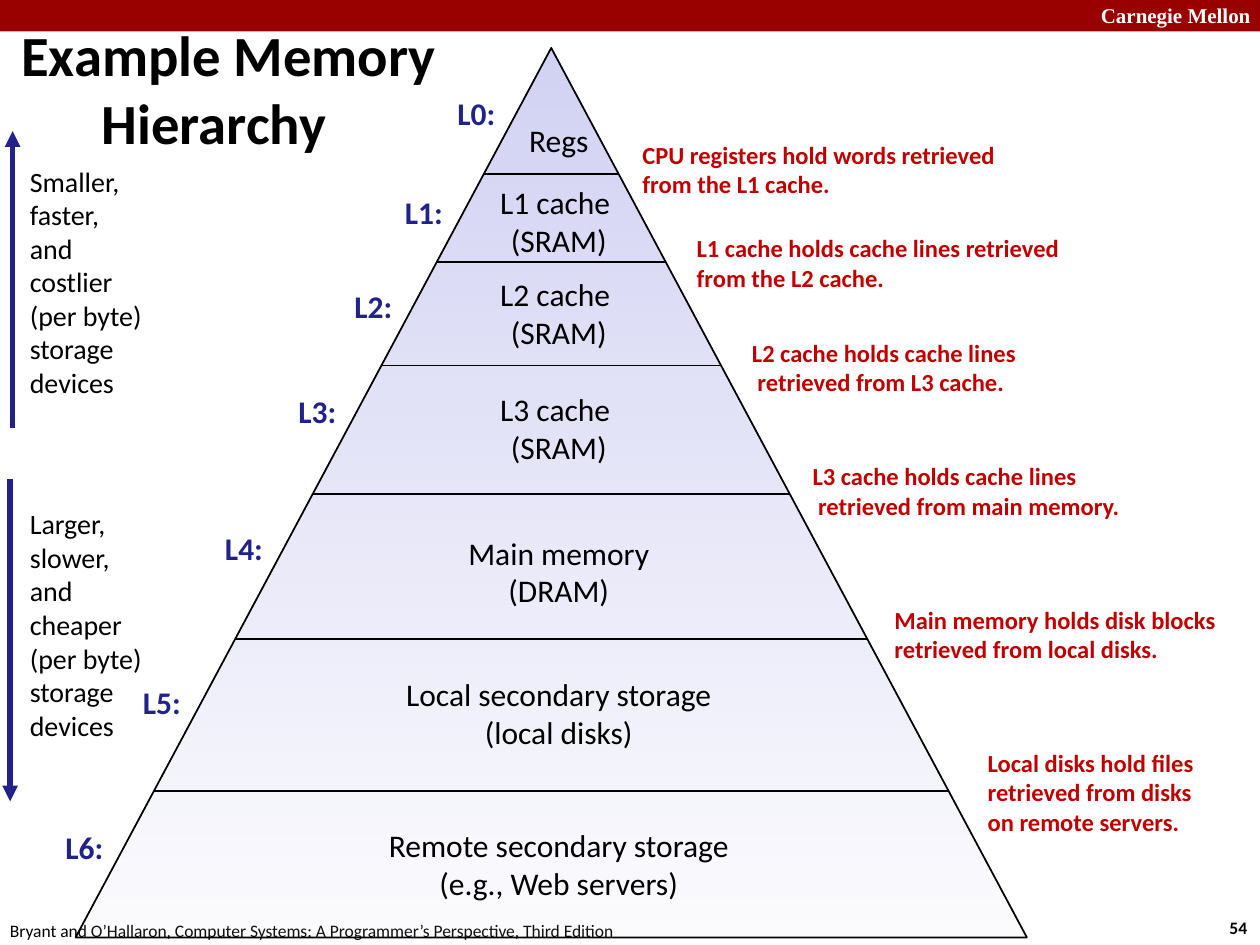
from typing import NamedTuple, Optional

from pptx import Presentation
from pptx.dml.color import RGBColor
from pptx.enum import shapes, text
from pptx.oxml.ns import qn
from pptx.util import Pt

BLACK, WHITE, NAVY, RED = "000000", "FFFFFF", "22228B", "C00000"
HEADER_RED, LAVENDER = "990000", "D2D2F4"
LEFT, CENTER = text.PP_ALIGN.LEFT, text.PP_ALIGN.CENTER
TOP, MIDDLE = text.MSO_ANCHOR.TOP, text.MSO_ANCHOR.MIDDLE

# Pyramid geometry, in points
APEX_X, APEX_Y, BASE_WIDTH, HEIGHT = 315, 27.4, 543.6, 508.3
NAME_CENTER_X = 319.3
LABEL_WIDTH, LABEL_HEIGHT, LABEL_GAP = 36.7, 28.8, 4


class Note(NamedTuple):
    left: float
    top: float
    width: float
    lines: str
    height: float = 41


class Level(NamedTuple):
    name: str
    name_center: float
    name_width: float
    label_top: float
    bottom: Optional[float] = None
    note: Optional[Note] = None


class Trend(NamedTuple):
    lines: str
    top: float
    arrow_x: float
    arrow_start: float
    arrow_end: float


LEVELS = [
    Level("Regs", 79.9, 49, 50.4, 99.4,
          Note(360, 76.3, 229.7, "CPU registers hold words retrieved from the L1 cache.")),
    Level("L1 cache \n(SRAM)", 126.4, 82.8, 106.6, 149.8,
          Note(391, 129.6, 223.2, "L1 cache holds cache lines retrieved from the L2 cache.")),
    Level("L2 cache \n(SRAM)", 178.9, 82.8, 160.6, 208.8,
          Note(422.6, 189.4, 207.4, "L2 cache holds cache lines\n retrieved from L3 cache.")),
    Level("L3 cache \n(SRAM)", 244.4, 82.8, 220.3, 282.2,
          Note(457.2, 259.9, 226.8, "L3 cache holds cache lines\n retrieved from main memory.")),
    Level("Main memory\n(DRAM)", 326.5, 118.8, 298.8, 365,
          Note(504, 342, 200.9, "Main memory holds disk blocks retrieved from local disks.")),
    Level("Local secondary storage\n(local disks)", 407.2, 192.2, 386.6, 452.2,
          Note(557.3, 423.4, 162.7,
               "Local disks hold files retrieved from disks\non remote servers.", 58.3)),
    Level("Remote secondary storage\n(e.g., Web servers)", 493.6, 212.4, 469.4),
]

TRENDS = [
    Trend("Smaller,\nfaster,\nand\ncostlier\n(per byte)\nstorage\ndevices",
          89.3, 7.2, 244.8, 74.9),
    Trend("Larger,\nslower,\nand\ncheaper\n(per byte)\nstorage\ndevices",
          285.1, 5.8, 273.6, 457.9),
]


def color(value: str) -> RGBColor:
    return RGBColor.from_string(value)


def format_text(frame, size: float, hex_color: str, bold: bool = False,
                align=LEFT, font: str = "Calibri") -> None:
    for paragraph in frame.paragraphs:
        paragraph.alignment = align
        for run in paragraph.runs:
            run.font.name = font
            run.font.size = Pt(size)
            run.font.bold = bold
            run.font.color.rgb = color(hex_color)


def add_text(slide, left: float, top: float, width: float, height: float, words: str,
             size: float, hex_color: str = BLACK, bold: bool = False, align=LEFT,
             anchor=MIDDLE, wrap: bool = False, font: str = "Calibri") -> None:
    box = slide.shapes.add_textbox(Pt(left), Pt(top), Pt(width), Pt(height))
    frame = box.text_frame
    frame.text = words
    frame.word_wrap = wrap
    frame.vertical_anchor = anchor
    format_text(frame, size, hex_color, bold, align, font)


def add_line(slide, x1: float, y1: float, x2: float, y2: float,
             hex_color: str = BLACK, width: float = 1, arrow: bool = False) -> None:
    line = slide.shapes.add_connector(
        shapes.MSO_CONNECTOR.STRAIGHT, Pt(x1), Pt(y1), Pt(x2), Pt(y2))
    line.line.color.rgb = color(hex_color)
    line.line.width = Pt(width)
    properties = line._element.spPr
    if arrow:
        outline = properties.find(qn("a:ln"))
        outline.append(outline.makeelement(qn("a:tailEnd"), {"type": "triangle"}))
    properties.append(properties.makeelement(qn("a:effectLst"), {}))


def half_width(y: float) -> float:
    """Half the pyramid's width at height y."""
    return (y - APEX_Y) / HEIGHT * BASE_WIDTH / 2


def add_pyramid(slide) -> None:
    pyramid = slide.shapes.add_shape(
        shapes.MSO_SHAPE.ISOSCELES_TRIANGLE, Pt(APEX_X - BASE_WIDTH / 2), Pt(APEX_Y),
        Pt(BASE_WIDTH), Pt(HEIGHT))
    pyramid.shadow.inherit = False
    pyramid.fill.gradient()
    pyramid.fill.gradient_angle = 90
    for stop in pyramid.fill.gradient_stops:
        stop.color.rgb = color(LAVENDER)
    # The base fades to 7 % opacity
    base_color = next(pyramid._element.spPr.iter(qn("a:srgbClr")))
    base_color.append(base_color.makeelement(qn("a:alpha"), {"val": "7000"}))
    pyramid.line.color.rgb = color(BLACK)
    pyramid.line.width = Pt(1)


def add_level(slide, number: int, level: Level) -> None:
    name_height = 51.1 if "\n" in level.name else 28.8
    add_text(slide, NAME_CENTER_X - level.name_width / 2, level.name_center - name_height / 2,
             level.name_width, name_height, level.name, 18, align=CENTER)
    edge = APEX_X - half_width(level.label_top + LABEL_HEIGHT / 2)
    add_text(slide, edge - LABEL_GAP - LABEL_WIDTH, level.label_top, LABEL_WIDTH,
             LABEL_HEIGHT, f"L{number}:", 18, NAVY, bold=True)
    if level.bottom:
        half = half_width(level.bottom)
        add_line(slide, APEX_X - half, level.bottom, APEX_X + half, level.bottom)
    if level.note:
        note = level.note
        add_text(slide, note.left, note.top, note.width, note.height, note.lines,
                 14, RED, bold=True, wrap=True)


def add_title(slide) -> None:
    title = slide.shapes.title
    title.left, title.top, title.width, title.height = Pt(5), Pt(19.4), Pt(686.2), Pt(61.9)
    frame = title.text_frame
    frame.text = "Example Memory\nHierarchy"
    frame.auto_size = text.MSO_AUTO_SIZE.NONE
    frame.vertical_anchor = MIDDLE
    frame.paragraphs[1]._p.get_or_add_pPr().set("marL", str(Pt(46)))
    format_text(frame, 32.4, BLACK, bold=True)


def main() -> None:
    presentation = Presentation()
    presentation.slide_width, presentation.slide_height = Pt(720), Pt(540)
    slide = presentation.slides.add_slide(presentation.slide_layouts[5])

    # Header band and footer
    band = slide.shapes.add_shape(shapes.MSO_SHAPE.RECTANGLE, 0, 0, Pt(720), Pt(18))
    band.shadow.inherit = False
    band.fill.solid()
    band.fill.fore_color.rgb = color(HEADER_RED)
    band.line.fill.background()
    add_text(slide, 622, -2.2, 103, 21.6, "Carnegie Mellon", 12, WHITE, bold=True,
             anchor=TOP, wrap=True, font="Times New Roman")
    add_text(slide, 695.5, 520.6, 26.6, 19.4, "54", 10, bold=True, anchor=TOP)
    add_text(slide, -1.4, 522, 365.8, 19.4,
             "Bryant and O’Hallaron, Computer Systems: A Programmer’s Perspective, Third Edition",
             10, anchor=TOP)

    add_title(slide)

    # Pyramid with its levels
    add_pyramid(slide)
    for number, level in enumerate(LEVELS):
        add_level(slide, number, level)

    # Trends along the left side
    for trend in TRENDS:
        add_text(slide, 10, trend.top, 79.2, 143.3, trend.lines, 16)
        add_line(slide, trend.arrow_x, trend.arrow_start, trend.arrow_x, trend.arrow_end,
                 NAVY, 3, arrow=True)

    presentation.save("out.pptx")


if __name__ == "__main__":
    main()
